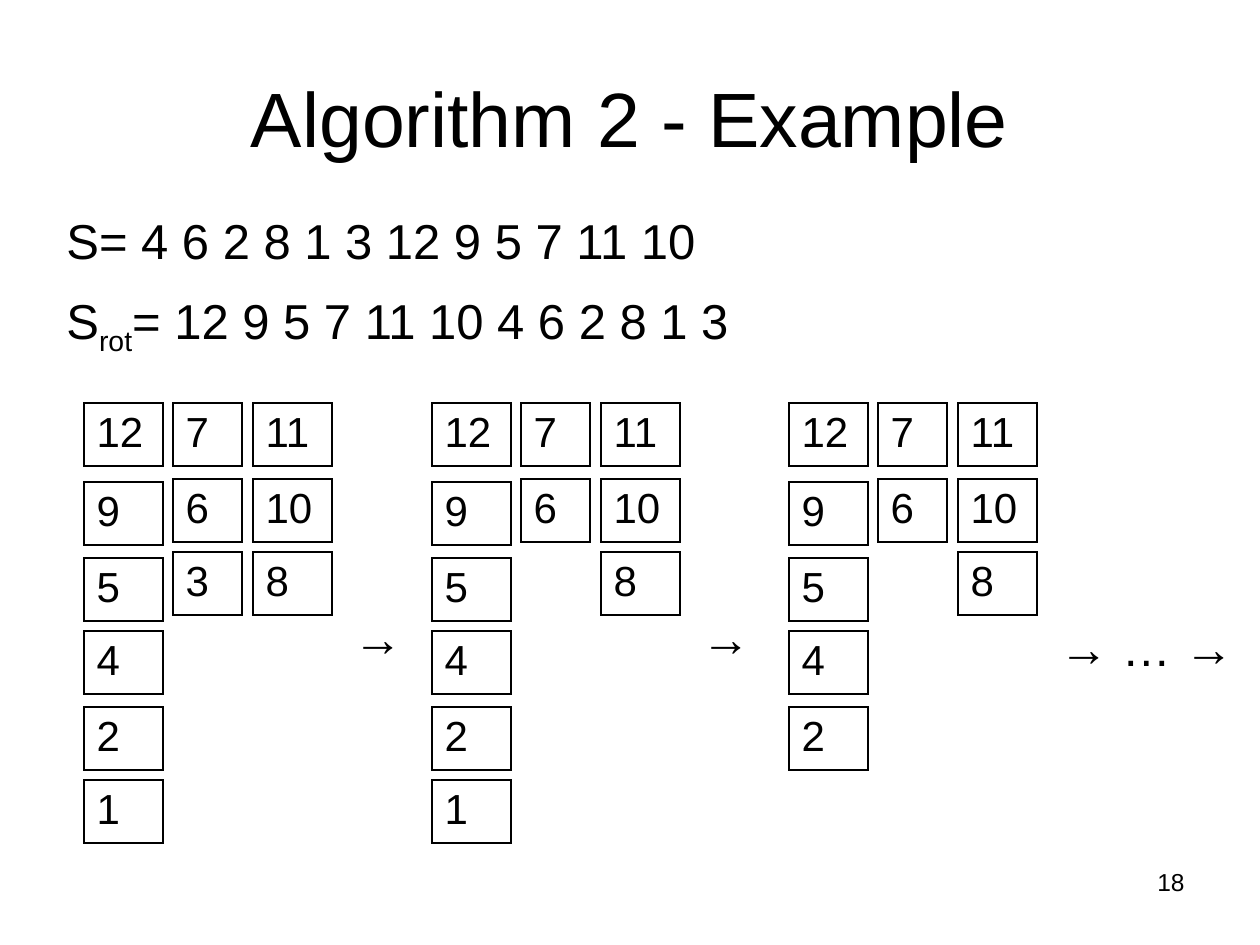
from lxml.etree import SubElement
from pptx import Presentation
from pptx.dml.color import RGBColor
from pptx.enum.text import MSO_ANCHOR, MSO_AUTO_SIZE, PP_ALIGN
from pptx.oxml.ns import qn
from pptx.util import Emu, Pt

PX_PER_INCH = 126
BLACK = "000000"
LINE_WIDTH = 1.08

# Stack geometry: left edge, cell width and cell tops of each column
CELL_HEIGHT = 63
COLUMNS = [
    (0, 79, [403, 482, 558, 631, 707, 780]),
    (89, 69, [403, 479, 552]),
    (169, 79, [403, 479, 552]),
]

# Each step: left edge and the values in its three columns
STEPS = [
    (84, [[12, 9, 5, 4, 2, 1], [7, 6, 3], [11, 10, 8]]),
    (432, [[12, 9, 5, 4, 2, 1], [7, 6], [11, 10, 8]]),
    (789, [[12, 9, 5, 4, 2], [7, 6], [11, 10, 8]]),
]


def px(length):
    return Emu(round(length * 914400 / PX_PER_INCH))


def color(value):
    return RGBColor.from_string(value)


def style(para, size, align=PP_ALIGN.LEFT):
    para.alignment = align
    para.font.name = "Arial"
    para.font.size = Pt(size)
    para.font.color.rgb = color(BLACK)


def add_text(page, left, top, width, height, spans, size,
             align=PP_ALIGN.LEFT, anchor=MSO_ANCHOR.TOP, wrap=True):
    """Add a one-paragraph box; spans holds (text, baseline) pairs."""
    box = page.shapes.add_textbox(px(left), px(top), px(width), px(height))
    frame = box.text_frame
    frame.word_wrap = wrap
    frame.auto_size = MSO_AUTO_SIZE.NONE if wrap else MSO_AUTO_SIZE.SHAPE_TO_FIT_TEXT
    frame.vertical_anchor = anchor
    para = frame.paragraphs[0]
    for text, baseline in spans:
        span = para.add_run()
        span.text = text
        if baseline:
            span.font._element.set("baseline", str(baseline))
    style(para, size, align)


def add_borders(cell):
    properties = cell._tc.get_or_add_tcPr()
    for index, side in enumerate(("a:lnL", "a:lnR", "a:lnT", "a:lnB")):
        line = SubElement(properties, qn(side), w=str(Pt(LINE_WIDTH)))
        fill = SubElement(line, qn("a:solidFill"))
        SubElement(fill, qn("a:srgbClr"), val=BLACK)
        properties.insert(index, line)


def add_number_cell(page, left, top, width, number):
    table = page.shapes.add_table(
        1, 1, px(left), px(top), px(width), px(CELL_HEIGHT)).table
    table.first_row = False
    table.horz_banding = False
    cell = table.cell(0, 0)
    cell.text = str(number)
    cell.fill.background()
    add_borders(cell)
    style(cell.text_frame.paragraphs[0], 24)


def add_step(page, left, stacks):
    for (offset, width, tops), numbers in zip(COLUMNS, stacks):
        for top, number in zip(tops, numbers):
            add_number_cell(page, left + offset, top, width, number)


def main():
    deck = Presentation()
    deck.slide_width, deck.slide_height = px(1260), px(945)
    page = deck.slides.add_slide(deck.slide_layouts[6])

    # Title and sequences
    add_text(page, 63, 38, 1134, 157, [("Algorithm 2 - Example", 0)], 44,
             PP_ALIGN.CENTER, MSO_ANCHOR.MIDDLE)
    add_text(page, 54, 204, 725, 72, [("S= 4 6 2 8 1 3 12 9 5 7 11 10", 0)], 28)
    add_text(page, 54, 284, 725, 79,
             [("S", 0), ("rot", -25000), ("= 12 9 5 7 11 10 4 6 2 8 1 3", 0)], 28)

    # Stacks of numbers
    for left, stacks in STEPS:
        add_step(page, left, stacks)

    # Arrows between the steps
    for left, top, width, text in [(341, 601, 74, "→"), (689, 601, 74, "→"),
                                   (1047, 611, 199, "→ … →")]:
        add_text(page, left, top, width, 72, [(text, 0)], 28, wrap=False)

    # Page number
    add_text(page, 903, 861, 294, 65, [("18", 0)], 14, PP_ALIGN.RIGHT)

    deck.save("out.pptx")


if __name__ == "__main__":
    main()
